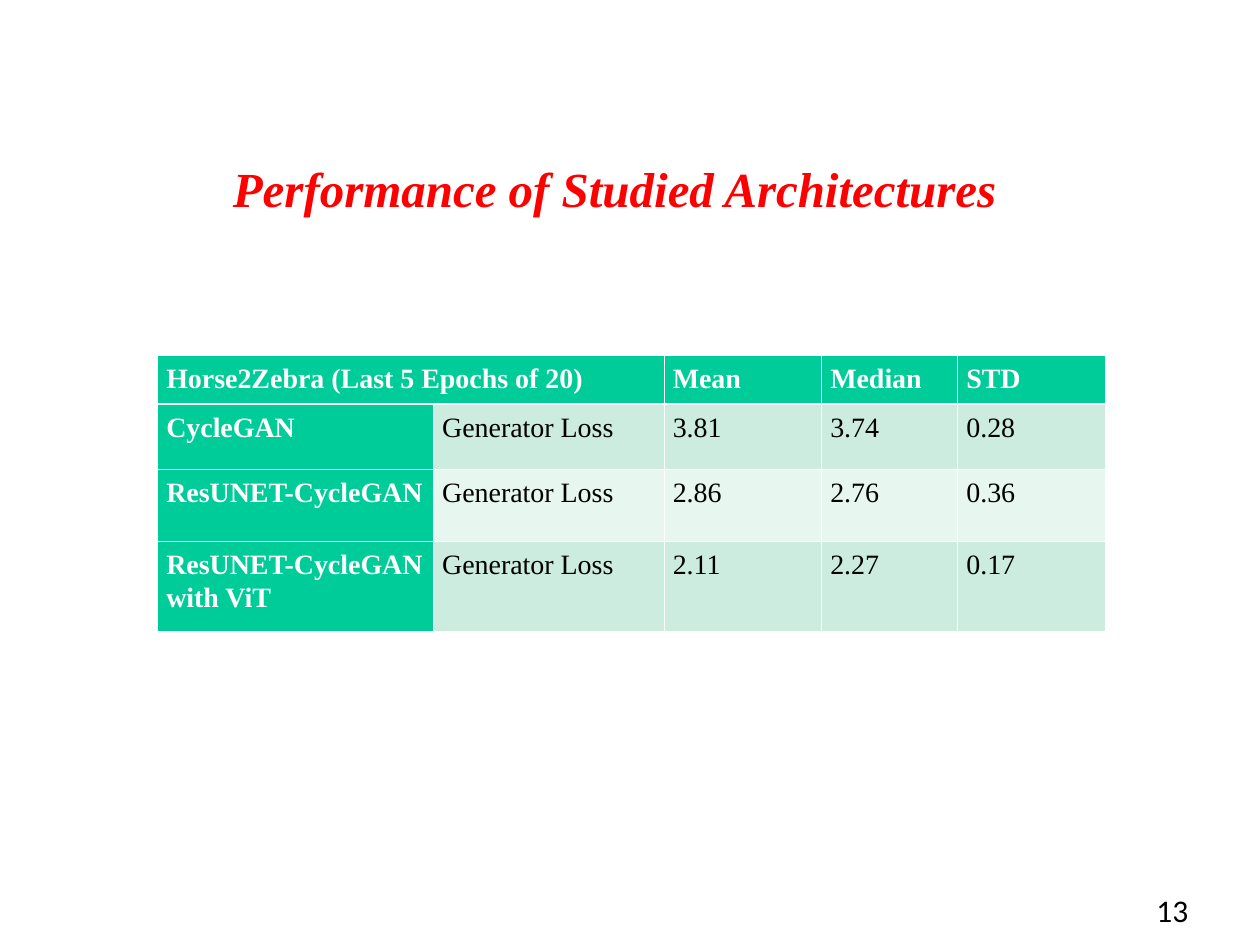
"""Build a slide with a table of generator losses per architecture."""
from lxml import etree
from pptx import Presentation
from pptx.dml.color import RGBColor
from pptx.enum.text import MSO_AUTO_SIZE
from pptx.oxml.ns import qn
from pptx.util import Inches, Pt

GROW = MSO_AUTO_SIZE.SHAPE_TO_FIT_TEXT
NONE = MSO_AUTO_SIZE.NONE
BLACK = RGBColor(0x00, 0x00, 0x00)
WHITE = RGBColor(0xFF, 0xFF, 0xFF)
RED = RGBColor(0xFF, 0x00, 0x00)
GREEN = RGBColor(0x00, 0xCC, 0x99)
MINT = RGBColor(0xCB, 0xEC, 0xDE)
PALE = RGBColor(0xE7, 0xF6, 0xEF)
SERIF = "Times New Roman"


def write(frame, text, size=16, face=SERIF, color=BLACK, bold=False,
          italic=False, line=1.0, after=0):
    para = frame.paragraphs[0]
    para.line_spacing = line
    para.space_after = Pt(after)
    run = para.add_run()
    run.text = text
    font = run.font
    font.size, font.name = Pt(size), face
    font.bold, font.italic = bold, italic
    font.color.rgb = color


def edge(cell, side, width):
    props = cell._tc.get_or_add_tcPr()
    line = etree.SubElement(props, qn(f"a:ln{side}"), w=str(Pt(width)))
    fill = etree.SubElement(line, qn("a:solidFill"))
    etree.SubElement(fill, qn("a:srgbClr"), val=str(WHITE))


deck = Presentation()
deck.slide_width, deck.slide_height = Inches(10), Inches(7.5)
slide = deck.slides.add_slide(deck.slide_layouts[6])

labels = [
    ("13", (9.08, 7.02, 2.33, 0.4), NONE,
     dict(size=18, face="Calibri")),
    ("Performance of Studied Architectures", (1.75, 1.25, 6.65, 0.54), GROW,
     dict(size=28, color=RED, bold=True, italic=True, line=0.93)),
]
for text, place, fit, style in labels:
    frame = slide.shapes.add_textbox(*map(Inches, place)).text_frame
    frame.word_wrap = True
    frame.auto_size = fit
    write(frame, text, **style)

rows = [
    ("Horse2Zebra (Last 5 Epochs of 20)", "", "Mean", "Median", "STD"),
    ("CycleGAN", "Generator Loss", "3.81", "3.74", "0.28"),
    ("ResUNET-CycleGAN", "Generator Loss", "2.86", "2.76", "0.36"),
    ("ResUNET-CycleGAN with ViT", "Generator Loss", "2.11", "2.27", "0.17"),
]
widths = [2.19, 1.83, 1.25, 1.08, 1.17]
heights = [0.37, 0.52, 0.57, 0.72]
table = slide.shapes.add_table(
    len(rows), len(widths), Inches(1.25), Inches(2.82),
    Inches(sum(widths)), Inches(sum(heights))).table
table.first_col = True
for col, width in zip(table.columns, widths):
    col.width = Inches(width)
for row, height in zip(table.rows, heights):
    row.height = Inches(height)
table.cell(0, 0).merge(table.cell(0, 1))

for r, row in enumerate(rows):
    for c, text in enumerate(row):
        cell = table.cell(r, c)
        head = r == 0 or c == 0
        cell.margin_left = cell.margin_right = Inches(0.07)
        thick = {"T": r == 1, "B": r == 0}
        for side in "LRTB":
            edge(cell, side, 1.47 if thick.get(side) else 0.45)
        cell.fill.solid()
        cell.fill.fore_color.rgb = GREEN if head else MINT if r % 2 else PALE
        if text:
            write(cell.text_frame, text, color=WHITE if head else BLACK,
                  bold=head, line=1.07, after=8)

deck.save("out.pptx")
